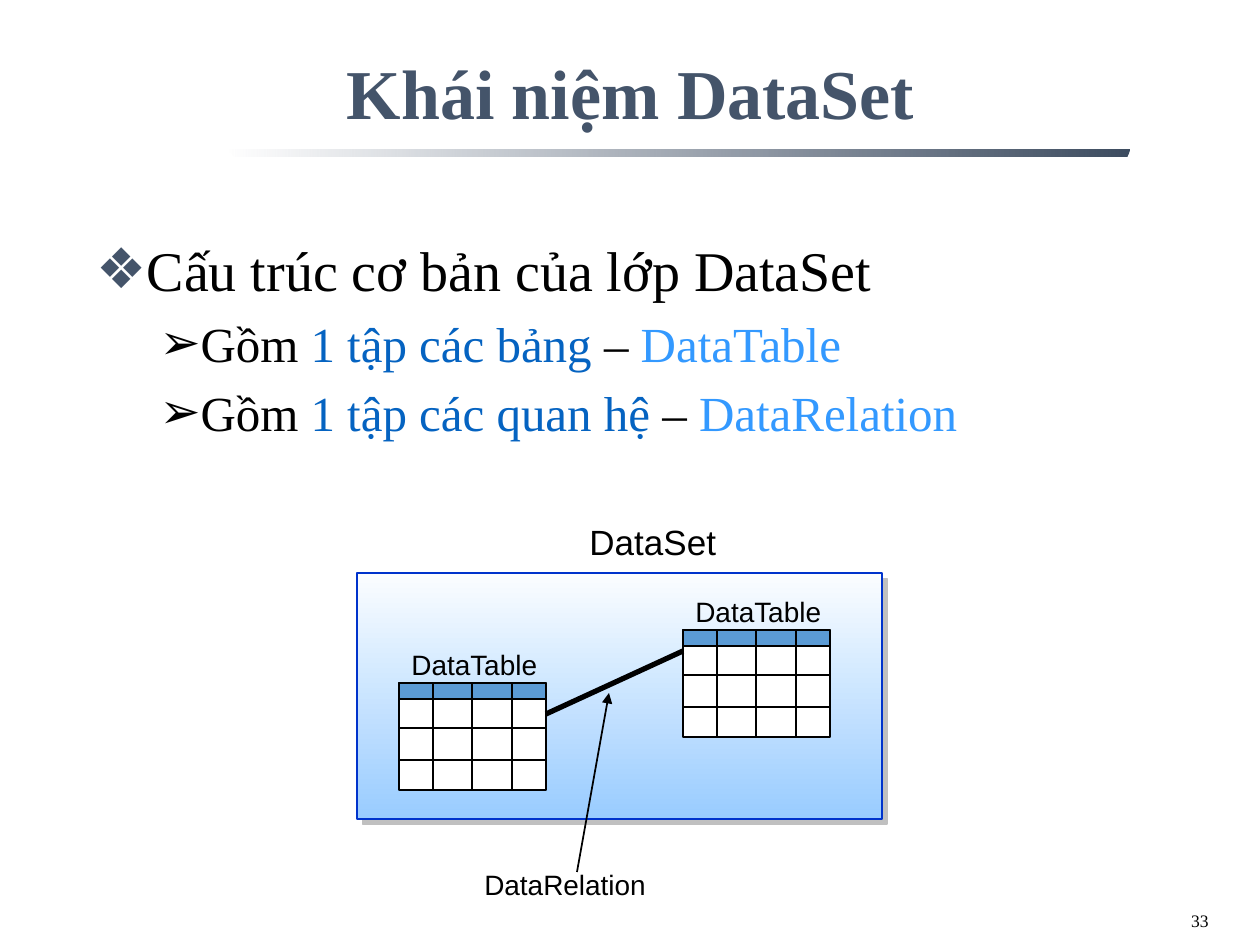
from pptx import Presentation
from pptx import util as u
from pptx.dml.color import RGBColor
from pptx.enum import shapes, text
from pptx.oxml.ns import qn
from lxml import etree

PX = u.Inches(1) / 126
COL = {
    "slate": "44546A", "dusk": "3D4C60", "black": "000000", "white": "FFFFFF",
    "link": "0563C1", "sky": "3399FF", "edge": "0033CC", "pale": "FBFDFF",
    "blue": "99CCFF", "head": "5B9BD5", "shade": "C0C0C0",
}
SERIF, SANS = "Times New Roman", "Arial"


def px(*nums):
    return [u.Emu(round(n * PX)) for n in nums]


def rgb(name):
    return RGBColor.from_string(COL[name])


def sub(node, tag, **attrs):
    return etree.SubElement(node, qn(tag), attrs)


def style(run, font, size, color="black", bold=False):
    run.font.name, run.font.size, run.font.bold = font, u.Pt(size), bold
    run.font.color.rgb = rgb(color)


def place(shape, *box):
    shape.left, shape.top, shape.width, shape.height = px(*box)


def blend(fill, first, last, angle):
    fill.gradient()
    fill.gradient_angle = angle
    for stop, name in zip(fill.gradient_stops, (first, last)):
        stop.color.rgb = rgb(name)


def add_rule(slide):
    """Tapered bar under the title that fades in from the left."""
    form = slide.shapes.build_freeform(1129, 150, scale=PX)
    form.add_line_segments([(227, 150), (235, 156), (1126, 156)], close=True)
    bar = form.convert_to_shape()
    bar.shadow.inherit = False
    bar.line.fill.background()
    blend(bar.fill, "slate", "dusk", 0)
    clear = next(bar._element.iter(qn("a:srgbClr")))
    sub(clear, "a:alpha", val="0")


def add_title(slide, words):
    title = slide.shapes.title
    place(title, 40, 48, 1181, 87)
    frame = title.text_frame
    frame.text = words
    frame.vertical_anchor = text.MSO_ANCHOR.MIDDLE
    para = frame.paragraphs[0]
    para.alignment = text.PP_ALIGN.CENTER
    style(para.runs[0], SERIF, 40, "slate", True)


def mark(para, sign, left, hang, color):
    props = para._p.get_or_add_pPr()
    props.set("marL", str(px(left)[0]))
    props.set("indent", str(-px(hang)[0]))
    sub(sub(props, "a:buClr"), "a:srgbClr", val=COL[color])
    sub(props, "a:buFont", typeface=SANS)
    sub(props, "a:buChar", char=sign)


def add_list(slide, items):
    body = slide.placeholders[1]
    place(body, 84, 229, 1071, 275)
    frame = body.text_frame
    frame.auto_size = text.MSO_AUTO_SIZE.NONE
    for i, (level, parts) in enumerate(items):
        para = frame.paragraphs[0] if i == 0 else frame.add_paragraph()
        para.level = level
        para.alignment = text.PP_ALIGN.JUSTIFY
        para.space_before = u.Pt(6 if i else 0)
        if level:
            mark(para, "➢", 102, 39, "black")
        else:
            mark(para, "❖", 48, 48, "slate")
        for words, color in parts:
            run = para.add_run()
            run.text = words
            style(run, SERIF, 28 if level else 32, color)


def add_box(home, box, color):
    rect = home.add_shape(shapes.MSO_SHAPE.RECTANGLE, *px(*box))
    rect.shadow.inherit = False
    rect.fill.solid()
    rect.fill.fore_color.rgb = rgb(color)
    rect.line.color.rgb = rgb("black")
    rect.line.width = u.Pt(0.75)
    return rect


def add_line(home, ends, width=0.75, arrow=False):
    line = home.add_connector(shapes.MSO_CONNECTOR.STRAIGHT, *px(*ends))
    line.line.color.rgb = rgb("black")
    line.line.width = u.Pt(width)
    if arrow:
        sub(line.line._get_or_add_ln(), "a:tailEnd", type="triangle")
    sub(line._element.spPr, "a:effectLst")


def add_panel(slide):
    """Shaded frame that stands for the DataSet."""
    panel = add_box(slide.shapes, (357, 573, 525, 246), "pale")
    blend(panel.fill, "pale", "blue", 270)
    panel.line.color.rgb = rgb("edge")
    glow = panel._element.spPr.find(qn("a:effectLst"))
    drop = sub(glow, "a:outerShdw", dist=str(u.Pt(4.2)), dir="2700000",
               algn="ctr", rotWithShape="0")
    sub(drop, "a:srgbClr", val=COL["shade"])


def add_grid(slide, x, y, wide=147, high=107, head=16):
    home = slide.shapes.add_group_shape().shapes
    add_box(home, (x, y, wide, high), "white")
    for dy in (45, 77):
        add_line(home, (x, y + dy, x + wide, y + dy))
    add_box(home, (x, y, wide, head), "head")
    for dx in (34, 73, 113):
        add_line(home, (x + dx, y, x + dx, y + high))


def add_label(slide, words, box, size=16, font=SANS, align="LEFT"):
    label = slide.shapes.add_textbox(*px(*box))
    frame = label.text_frame
    frame.word_wrap = True
    frame.text = words
    para = frame.paragraphs[0]
    para.alignment = text.PP_ALIGN[align]
    style(para.runs[0], font, size)
    return frame


def main():
    deck = Presentation()
    deck.slide_width, deck.slide_height = px(1260, 945)
    slide = deck.slides.add_slide(deck.slide_layouts[1])
    add_rule(slide)
    add_title(slide, "Khái niệm DataSet")
    add_list(slide, [
        (0, [("Cấu trúc cơ bản của lớp DataSet", "black")]),
        (1, [("Gồm ", "black"), ("1 tập các bảng", "link"),
             (" – ", "black"), ("DataTable", "sky")]),
        (1, [("Gồm ", "black"), ("1 tập các quan hệ", "link"),
             (" – ", "black"), ("DataRelation", "sky")]),
    ])
    add_panel(slide)
    for x, y in ((683, 630), (399, 683)):
        add_grid(slide, x, y)
        add_label(slide, "DataTable", (x, y - 42, 158, 47))
    add_label(slide, "DataSet", (577, 514, 158, 54), 20)
    add_line(slide.shapes, (546, 714, 683, 651), 3)
    add_line(slide.shapes, (577, 872, 609, 693), 1, True)
    add_label(slide, "DataRelation", (472, 861, 189, 47))
    page = add_label(slide, "33", (927, 905, 294, 29), 10, SERIF, "RIGHT")
    page.margin_top = page.margin_bottom = px(5)[0]
    deck.save("out.pptx")


if __name__ == "__main__":
    main()
